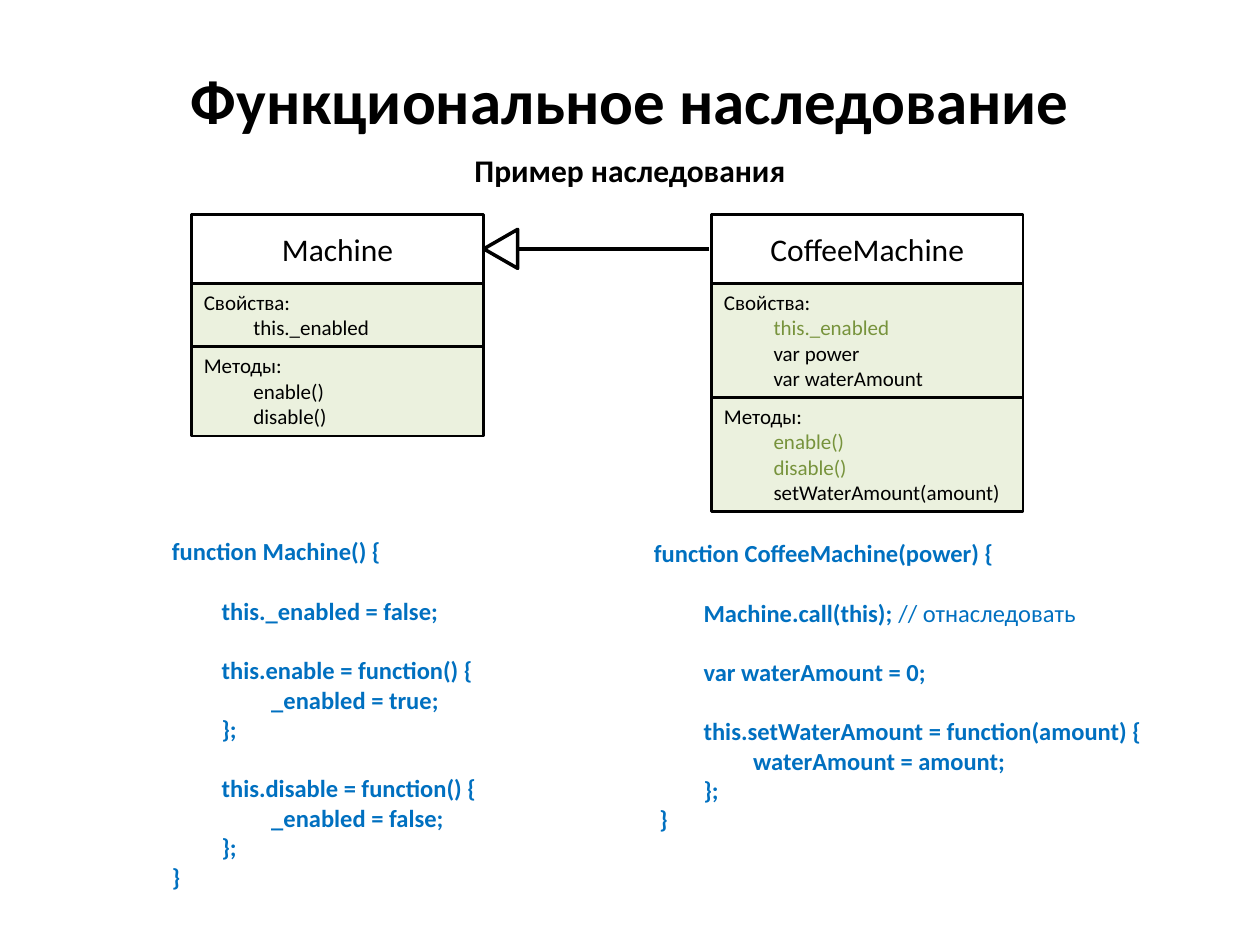
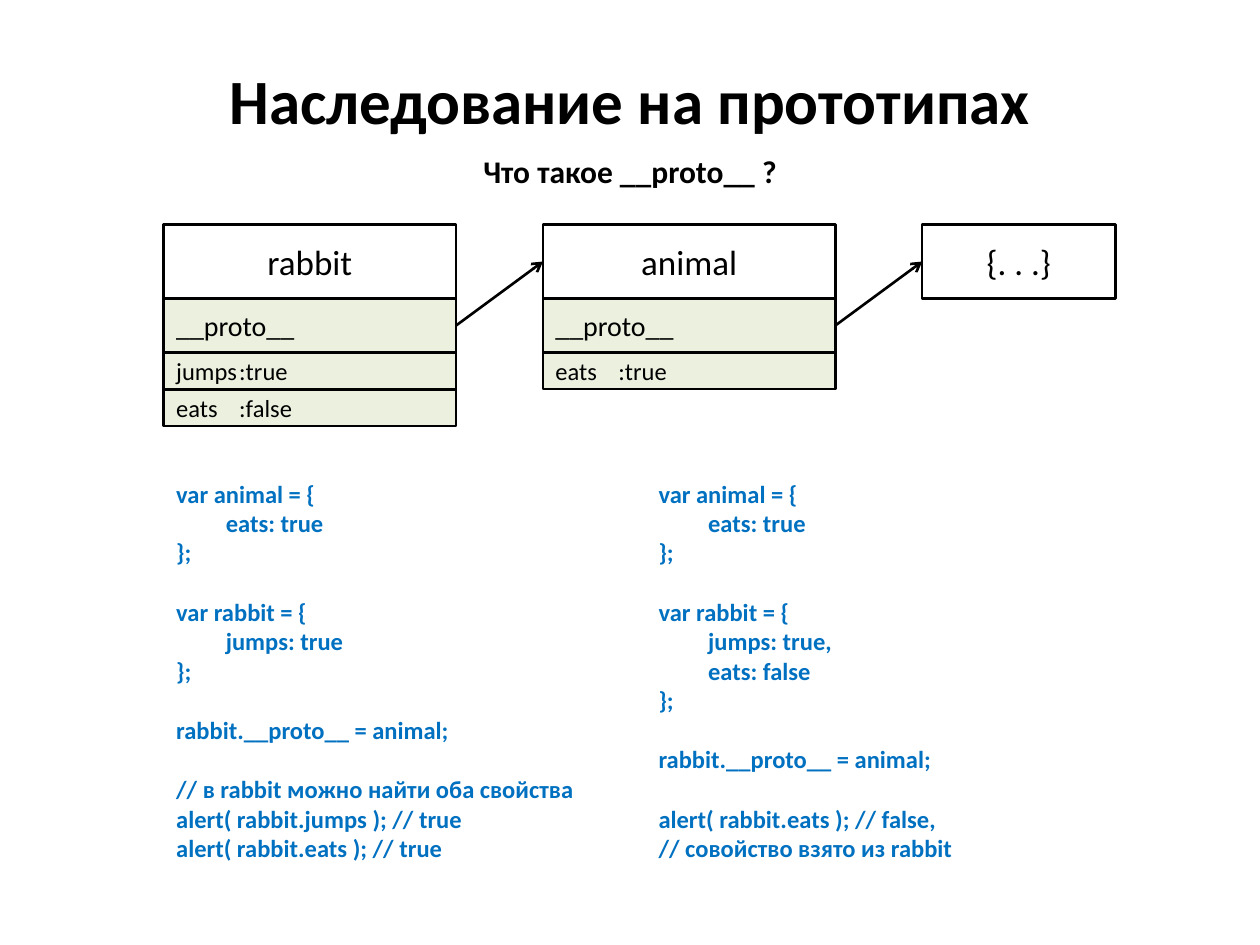
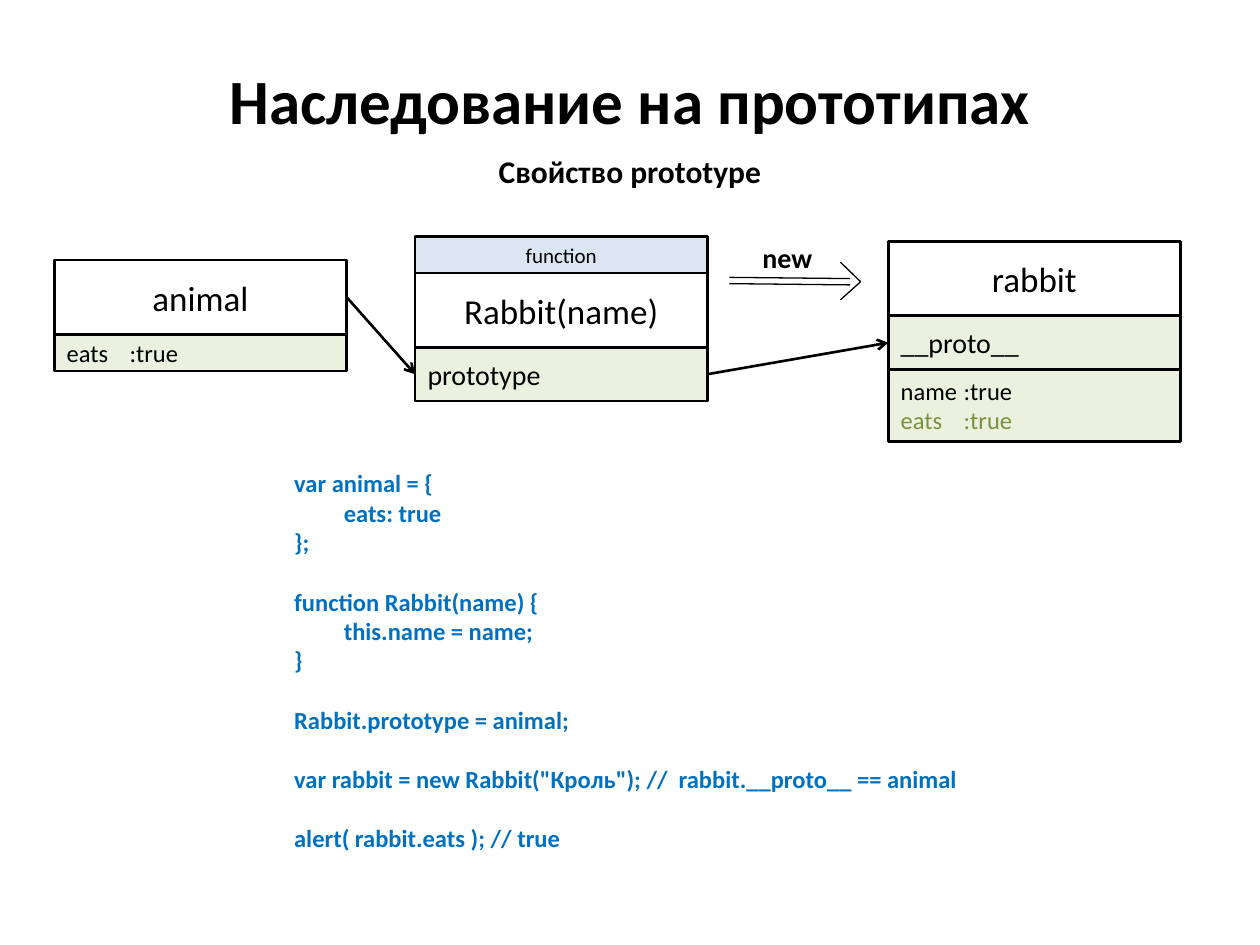
from pptx import Presentation
from pptx.dml.color import RGBColor
from pptx.enum.shapes import MSO_CONNECTOR, MSO_SHAPE
from pptx.enum.text import MSO_ANCHOR, MSO_AUTO_SIZE, PP_ALIGN
from pptx.oxml.ns import qn
from pptx.util import Pt
from lxml import etree

STRAIGHT = MSO_CONNECTOR.STRAIGHT
RECT, TRIANGLE = MSO_SHAPE.RECTANGLE, MSO_SHAPE.ISOSCELES_TRIANGLE
TOP, MIDDLE = MSO_ANCHOR.TOP, MSO_ANCHOR.MIDDLE
LEFT, CENTER = PP_ALIGN.LEFT, PP_ALIGN.CENTER
FIT = MSO_AUTO_SIZE.SHAPE_TO_FIT_TEXT

WIDTH, HEIGHT = 720, 540
FONT = "Calibri"
BLACK, WHITE, CODE, INHERITED = "000000", "FFFFFF", "0070C0", "77933C"
MEMBER_FILL, KIND_FILL = "EBF1DE", "DCE6F2"
INDENT, CODE_LINE = 28.35, 17.1
NAME_H, LINK_H, FIELD_H = 42.5, 30.7, 21
BOX_W = 167


def rgb(value):
    """Turn a hex string into a colour."""
    return RGBColor.from_string(value)


def add_text(tf, lines, size=14, color=BLACK, bold=False, align=LEFT, anchor=TOP):
    """Write lines; leading tabs indent, an empty line becomes space before the next."""
    tf.word_wrap = True
    tf.vertical_anchor = anchor
    p, gap = None, 0
    for line in lines:
        if not line:
            gap = CODE_LINE
            continue
        p = tf.add_paragraph() if p is not None else tf.paragraphs[0]
        p.alignment = align
        p.space_before, gap = Pt(gap), 0
        runs = [(line, {})] if isinstance(line, str) else line
        level = len(runs[0][0]) - len(runs[0][0].lstrip("\t"))
        if level:
            p._p.get_or_add_pPr().set("marL", str(Pt(level * INDENT)))
        for text, changes in runs:
            r = p.add_run()
            r.text = text.lstrip("\t") if level else text
            r.font.name, r.font.size = FONT, Pt(size)
            r.font.bold = changes.get("bold", bold)
            r.font.color.rgb = rgb(changes.get("color", color))


def inherited(text):
    """Give a member line that comes from the parent."""
    return [(text, {"color": INHERITED})]


def text_box(s, x, y, w, h, lines, **fmt):
    """Place a text box that fits its text."""
    tf = s.shapes.add_textbox(Pt(x), Pt(y), Pt(w), Pt(h)).text_frame
    add_text(tf, lines, **fmt)
    tf.auto_size = FIT
    return tf


def code(s, x, y, w, source):
    """Place a listing, one paragraph a line."""
    text_box(s, x, y, w, len(source) * 17 + 7.2, source, color=CODE, bold=True)


def outlined(s, kind, x, y, w, h, fill=None, weight=1.5):
    """Place a black outlined shape."""
    sp = s.shapes.add_shape(kind, Pt(x), Pt(y), Pt(w), Pt(h))
    sp.shadow.inherit = False
    if fill:
        sp.fill.solid()
        sp.fill.fore_color.rgb = rgb(fill)
    else:
        sp.fill.background()
    sp.line.color.rgb = rgb(BLACK)
    sp.line.width = Pt(weight)
    return sp


def name_row(text, h=NAME_H, size=20):
    """Describe the heading row of an object box."""
    return h, [text], None, dict(size=size, align=CENTER, anchor=MIDDLE)


def link_row(text):
    """Describe a row that holds a prototype reference."""
    return LINK_H, [text], MEMBER_FILL, dict(size=16, anchor=MIDDLE)


def field_row(*lines, h=FIELD_H):
    """Describe a row of fields with values."""
    return h, lines, MEMBER_FILL, dict(size=14, anchor=MIDDLE)


def member_row(h, *lines):
    """Describe a row that lists properties or methods."""
    return h, lines, MEMBER_FILL, dict(size=12)


def object_box(s, x, y, w, rows):
    """Stack rows downwards into an object diagram."""
    for h, lines, fill, fmt in rows:
        add_text(outlined(s, RECT, x, y, w, h, fill).text_frame, lines, **fmt)
        y += h


def line(s, x1, y1, x2, y2, weight=1.5, arrow=False):
    """Draw a black line, with an open arrowhead at its end if asked."""
    c = s.shapes.add_connector(STRAIGHT, Pt(x1), Pt(y1), Pt(x2), Pt(y2))
    c.line.color.rgb = rgb(BLACK)
    c.line.width = Pt(weight)
    if arrow:
        etree.SubElement(c.line._get_or_add_ln(), qn("a:tailEnd"), type="arrow")
    etree.SubElement(c._element.spPr, qn("a:effectLst"))


def inheritance_arrow(s, x, y, w):
    """Draw a hollow triangle at the left, with a line to the right."""
    line(s, x + w, y, x + 19.5, y, 2)
    sp = outlined(s, TRIANGLE, x - 1.4, y - 9.7, 22.3, 19.4, WHITE, 2)
    sp.rotation = 270


def new_arrow(s, x, y):
    """Draw a labelled double arrow whose label starts at the top."""
    for top in (24.5, 28.1):
        line(s, x, y + top, x + 69, y + top + 0.7, 0.75)
    line(s, x + 63.4, y + 15.8, x + 75, y + 27, 0.75)
    line(s, x + 75, y + 27, x + 63.4, y + 37.4, 0.75)
    text_box(s, x + 8.6, y, 49, 26.6, ["new"], size=16, bold=True, align=CENTER)


def new_slide(prs, title, subtitle, w, y=83.5):
    """Add a slide with its title and a centred subtitle."""
    s = prs.slides.add_slide(prs.slide_layouts[6])
    text_box(s, 0, 31.7, WIDTH, 51, [title], size=36, bold=True, align=CENTER)
    tf = text_box(s, (WIDTH - w) / 2, y, w, 29, [subtitle],
                  size=18, bold=True, align=CENTER)
    tf.word_wrap = False
    return s


def functional_slide(prs):
    """Build the slide on functional inheritance."""
    s = new_slide(prs, "Функциональное наследование", "Пример наследования", 193.7, 82.8)
    top, name_h = 122.4, 39.6
    object_box(s, 109.4, top, BOX_W, [
        name_row("Machine", name_h, 18),
        member_row(36.2, "Свойства:", "\tthis._enabled"),
        member_row(50.9, "Методы:", "\tenable()", "\tdisable()")])
    object_box(s, 406.6, top, 178, [
        name_row("CoffeeMachine", name_h, 18),
        member_row(65.2, "Свойства:", inherited("\tthis._enabled"),
                   "\tvar power", "\tvar waterAmount"),
        member_row(65.2, "Методы:", inherited("\tenable()"), inherited("\tdisable()"),
                   "\tsetWaterAmount(amount) ")])
    inheritance_arrow(s, 276.4, 142.2, 129)
    code(s, 91.2, 303, 204, [
        "function Machine() {", "",
        "\tthis._enabled = false;", "",
        "\tthis.enable = function() {", "\t\t_enabled = true;", "\t};", "",
        "\tthis.disable = function() {", "\t\t_enabled = false;", "\t};",
        "}"])
    code(s, 366.6, 304, 326, [
        "function CoffeeMachine(power) {", "",
        [("\tMachine.call(this); ", {}), ("// отнаследовать", {"bold": False})], "",
        "\tvar waterAmount = 0;", "",
        "\tthis.setWaterAmount = function(amount) {", "\t\twaterAmount = amount;", "\t};",
        "\u00a0}"])


def proto_slide(prs):
    """Build the slide on the prototype chain."""
    s = new_slide(prs, "Наследование на прототипах", "Что такое __proto__ ?", 183.6)
    x, y, step = 93.6, 128.2, 216.7
    chain = [
        (BOX_W, [name_row("rabbit"), link_row("__proto__"),
                 field_row("jumps\t:true"), field_row("eats\t:false")]),
        (BOX_W, [name_row("аnimal"), link_row("__proto__"), field_row("eats\t:true")]),
        (110.5, [name_row("{. . .}")])]
    for i, (w, rows) in enumerate(chain):
        left = x + i * step
        object_box(s, left, y, w, rows)
        if i:
            line(s, left - step + BOX_W, y + NAME_H + LINK_H / 2,
                 left, y + NAME_H / 2, arrow=True)
    animal = ["var animal = {", "\teats: true", "};", ""]
    link = ["", "rabbit.__proto__ = animal;", ""]
    code(s, x, 270, 254, [
        *animal, "var rabbit = {", "\tjumps: true", "};", *link,
        "// в rabbit можно найти оба свойства",
        "alert( rabbit.jumps ); // true", "alert( rabbit.eats ); // true"])
    code(s, 369.2, 270, 231, [
        *animal, "var rabbit = {", "\tjumps: true,", "\teats: false", "};", *link,
        "alert( rabbit.eats ); // false,", "// совойство взято из rabbit"])


def prototype_slide(prs):
    """Build the slide on the prototype property."""
    s = new_slide(prs, "Наследование на прототипах", "Свойство prototype", 165.6)
    animal_x, maker_x, rabbit_x = 31, 237.2, 507.6
    animal_y, maker_y, rabbit_y = 148.5, 135, 138
    object_box(s, rabbit_x, rabbit_y, BOX_W, [
        name_row("rabbit"), link_row("__proto__"),
        field_row("name\t:true", inherited("eats\t:true"), h=41)])
    object_box(s, animal_x, animal_y, BOX_W, [
        name_row("аnimal"), field_row("eats\t:true")])
    kind = (FIELD_H, ["function"], KIND_FILL, dict(size=12, align=CENTER, anchor=MIDDLE))
    object_box(s, maker_x, maker_y, BOX_W, [
        kind, name_row("Rabbit(name)"), link_row("prototype")])
    link_y = maker_y + FIELD_H + NAME_H + LINK_H / 2
    line(s, animal_x + BOX_W, animal_y + NAME_H / 2, maker_x, link_y, arrow=True)
    line(s, maker_x + BOX_W, link_y,
         rabbit_x, rabbit_y + NAME_H + LINK_H / 2, arrow=True)
    new_arrow(s, 416.8, 134)
    code(s, 161, 264.2, 397, [
        "var animal = {", "\teats: true", "};", "",
        "function Rabbit(name) {", "\tthis.name = name;", "}", "",
        "Rabbit.prototype = animal;", "",
        "var rabbit = new Rabbit(\"Кроль\"); //  rabbit.__proto__ == animal", "",
        "alert( rabbit.eats ); // true"])


def main():
    """Build and save the presentation."""
    prs = Presentation()
    prs.slide_width, prs.slide_height = Pt(WIDTH), Pt(HEIGHT)
    functional_slide(prs)
    proto_slide(prs)
    prototype_slide(prs)
    prs.save("out.pptx")


main()
